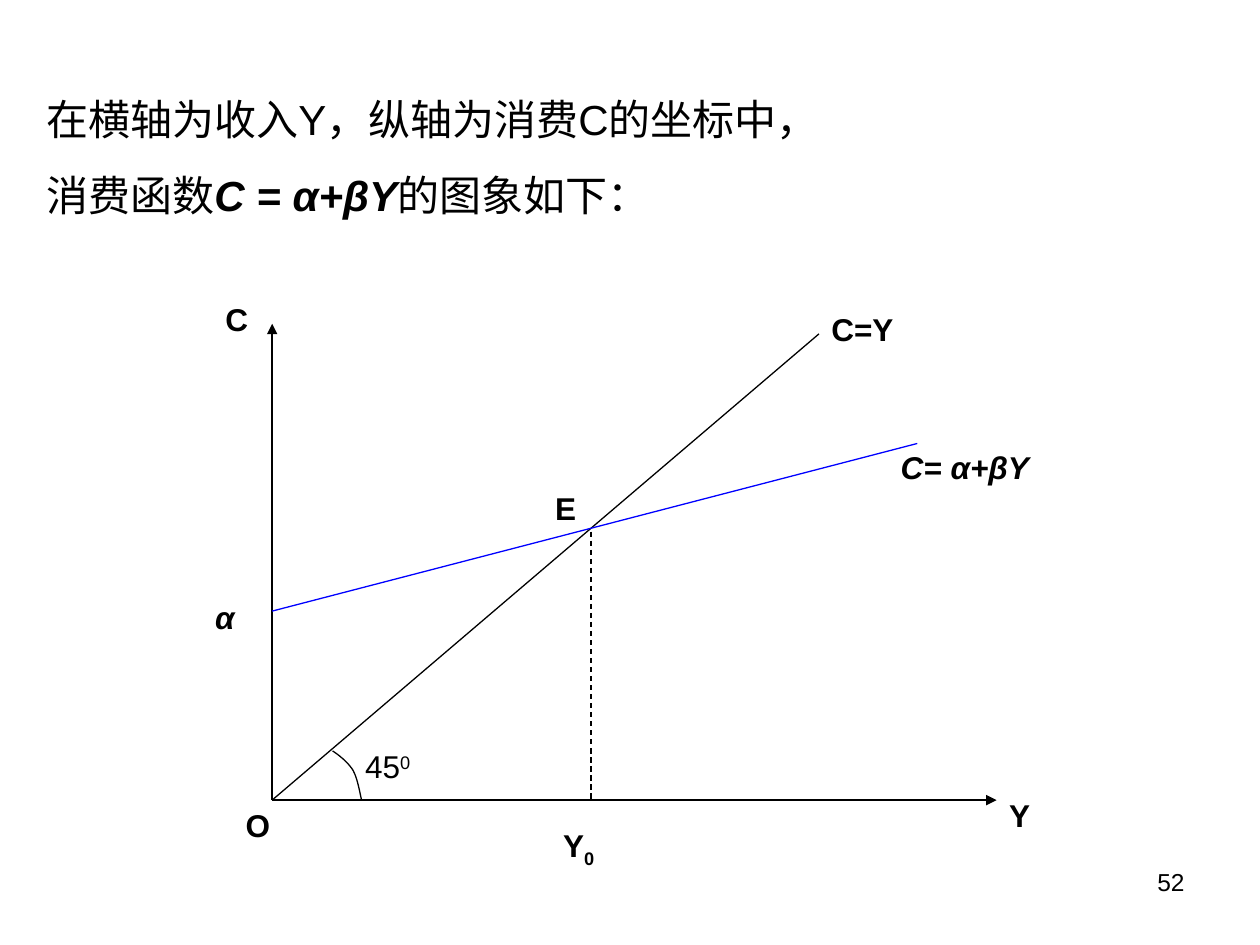
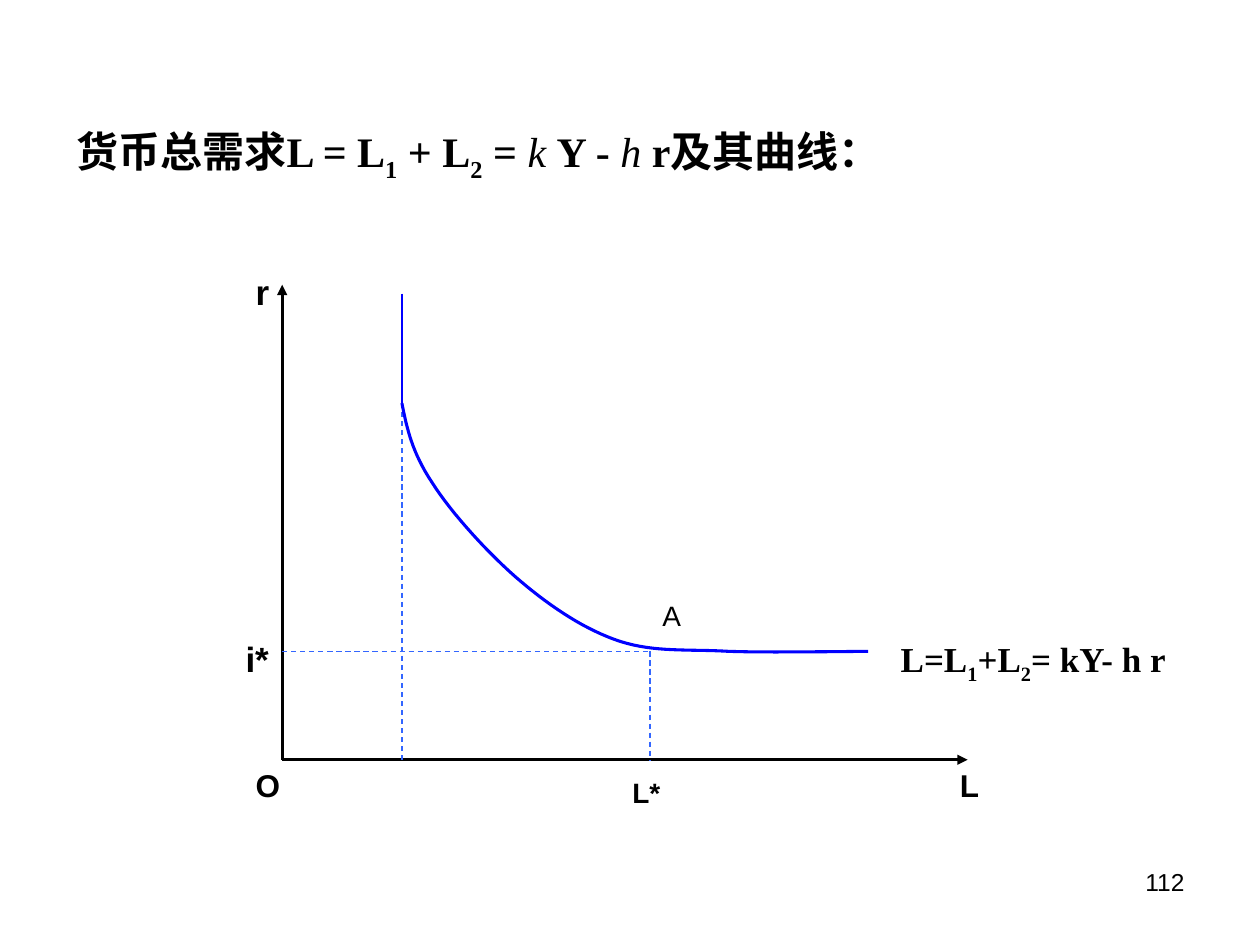
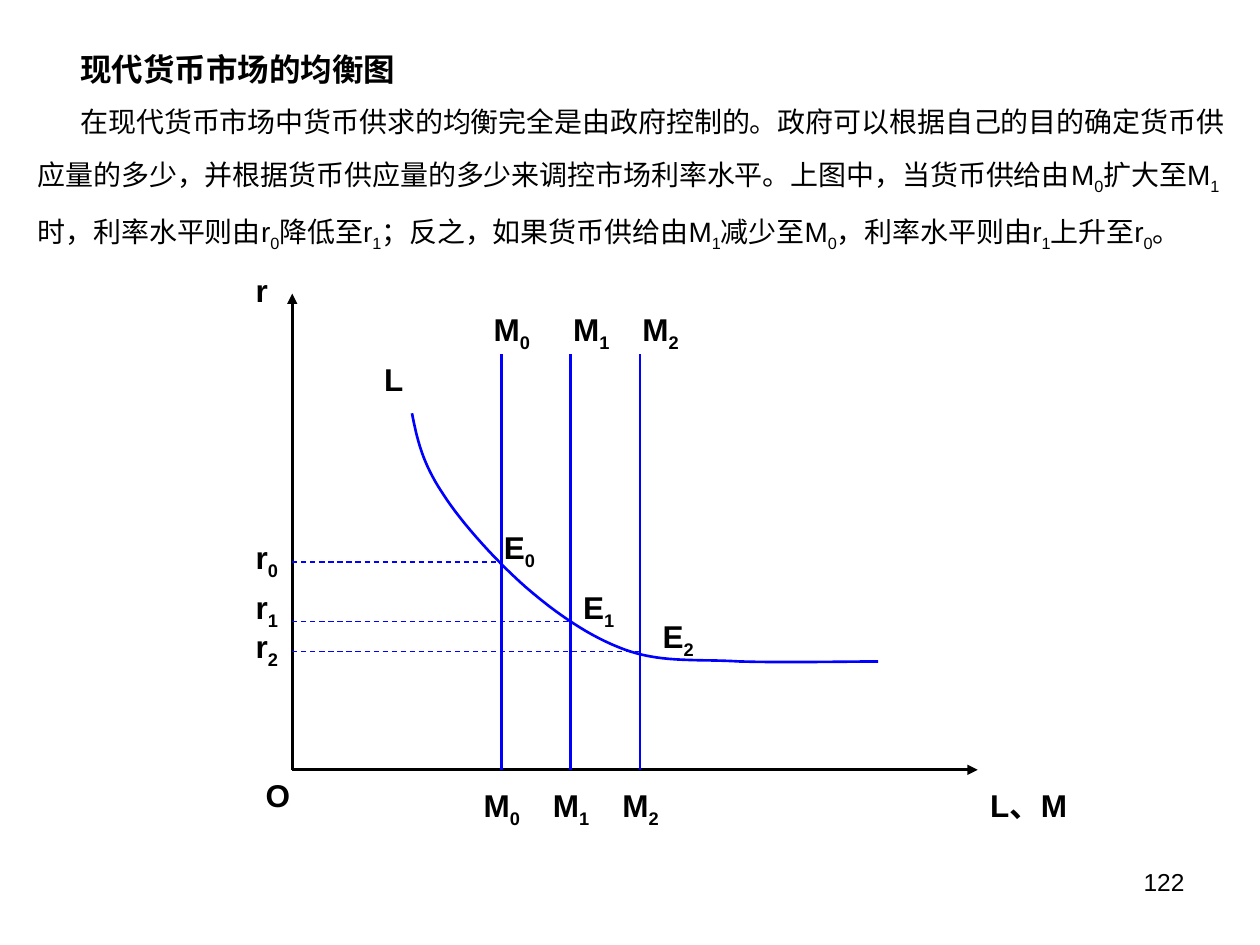
from dataclasses import dataclass

import lxml.etree
import pptx
import pptx.dml.color
import pptx.enum.dml
import pptx.enum.shapes
import pptx.enum.text
import pptx.oxml.ns
import pptx.util

Inches = pptx.util.Inches
Pt = pptx.util.Pt
ALIGN = pptx.enum.text.PP_ALIGN


@dataclass(frozen=True)
class Theme:
    black: str = "000000"
    curve: str = "0000FF"
    guide: str = "3366FF"
    sans: str = "Arial"
    serif: str = "Times New Roman"
    title: int = 24
    large: int = 20
    label: int = 18
    body: int = 16
    page: int = 14
    thin: float = 0.75
    medium: float = 1.5
    thick: float = 1.75


@dataclass(frozen=True)
class Box:
    left: float
    top: float
    width: float
    height: float


@dataclass(frozen=True)
class Segment:
    """Text of one style; "_" lowers and "^" raises the next character."""
    text: str
    size: int
    bold: bool = False
    italic: bool = False
    font: str = Theme.sans


THEME = Theme()
TITLE_INSET = (0.1, 0.05, 0.1, 0.05)
PAGE_BOX = Box(7.17, 6.83, 2.33, 0.52)

# Bezier paths, as (right, up) from the origin of a graph
ANGLE_ARC = [(0.48, 0.39), (0.54, 0.35), (0.6, 0.3), (0.64, 0.24),
             (0.68, 0.17), (0.7, 0.04), (0.71, 0)]
MONEY_DEMAND = [(0.95, 2.83), (0.99, 2.63), (1.03, 2.44), (1.19, 2.2),
                (1.34, 1.96), (1.65, 1.62), (1.9, 1.41),
                (2.15, 1.2), (2.41, 1.03), (2.68, 0.94),
                (2.96, 0.85), (3.22, 0.88), (3.55, 0.86),
                (3.88, 0.85), (4.48, 0.86), (4.65, 0.86)]


# Text

def split_baselines(text):
    """Yield (piece, baseline) pairs from marked text."""
    mark, shift = ("^", 30000) if "^" in text else ("_", -25000)
    first, *rest = text.split(mark)
    yield first, 0
    for part in rest:
        yield part[0], shift
        yield part[1:], 0


def add_segment(paragraph, segment):
    for piece, baseline in split_baselines(segment.text):
        if not piece:
            continue
        run = paragraph.add_run()
        run.text = piece
        run.font.name = segment.font
        run.font.size = Pt(segment.size)
        run.font.bold = segment.bold
        run.font.italic = segment.italic
        run.font.color.rgb = pptx.dml.color.RGBColor.from_string(THEME.black)
        if baseline:
            run._r.get_or_add_rPr().set("baseline", str(baseline))


def add_text(slide, box, paragraphs, align=ALIGN.LEFT, middle=False,
             spacing=None, indent=0, inset=TITLE_INSET):
    shape = slide.shapes.add_textbox(Inches(box.left), Inches(box.top),
                                     Inches(box.width), Inches(box.height))
    frame = shape.text_frame
    frame.word_wrap = True
    frame.margin_left, frame.margin_top, frame.margin_right, frame.margin_bottom = map(Inches, inset)
    if middle:
        frame.vertical_anchor = pptx.enum.text.MSO_ANCHOR.MIDDLE
    for index, segments in enumerate(paragraphs):
        paragraph = frame.add_paragraph() if index else frame.paragraphs[0]
        paragraph.alignment = align
        if spacing:
            paragraph.line_spacing = spacing
        if indent:
            paragraph._p.get_or_add_pPr().set("indent", str(Inches(indent)))
        for segment in segments:
            add_segment(paragraph, segment)


def add_page_number(slide, number):
    add_text(slide, PAGE_BOX, [[Segment(str(number), THEME.page)]], ALIGN.RIGHT)


# Graphs

def style_line(line, color, width, dashed=False):
    line.color.rgb = pptx.dml.color.RGBColor.from_string(color)
    line.width = Pt(width)
    if dashed:
        line.dash_style = pptx.enum.dml.MSO_LINE.DASH


def bezier_points(path, steps=16):
    """Yield points along joined cubic curves, after the start point."""
    for first in range(0, len(path) - 1, 3):
        controls = path[first:first + 4]
        for step in range(1, steps + 1):
            t = step / steps
            weights = ((1 - t) ** 3, 3 * t * (1 - t) ** 2, 3 * t * t * (1 - t), t ** 3)
            yield tuple(sum(w * point[axis] for w, point in zip(weights, controls))
                        for axis in (0, 1))


class Graph:
    """Axes that fill a box; every point is (right, up) from the origin."""

    def __init__(self, slide, box, axis_width):
        self.slide = slide
        self.box = box
        for end in ((0, box.height), (box.width, 0)):
            self.line((0, 0), end, THEME.black, axis_width, arrow=True)

    def place(self, point):
        right, up = point
        return (Inches(self.box.left + right),
                Inches(self.box.top + self.box.height - up))

    def line(self, start, end, color, width, dashed=False, arrow=False):
        connector = self.slide.shapes.add_connector(
            pptx.enum.shapes.MSO_CONNECTOR.STRAIGHT, *self.place(start), *self.place(end))
        style_line(connector.line, color, width, dashed)
        namespace = pptx.oxml.ns.qn
        if arrow:
            lxml.etree.SubElement(connector.line._get_or_add_ln(),
                                  namespace("a:tailEnd"), type="triangle")
        lxml.etree.SubElement(connector._element.spPr, namespace("a:effectLst"))

    def curve(self, path, color, width):
        builder = self.slide.shapes.build_freeform(*self.place(path[0]))
        builder.add_line_segments([self.place(point) for point in bezier_points(path)],
                                  close=False)
        shape = builder.convert_to_shape()
        shape.shadow.inherit = False
        shape.fill.background()
        style_line(shape.line, color, width)

    def label(self, text, right, up, width=0.55, size=THEME.label, bold=True,
              italic=False, font=THEME.sans, align=ALIGN.LEFT):
        box = Box(self.box.left + right, self.box.top + self.box.height - up, width,
                  0.44 if "_" in text or size == THEME.large else 0.4)
        add_text(self.slide, box, [[Segment(text, size, bold, italic, font)]], align)


def draw_consumption_graph(slide, box):
    graph = Graph(slide, box, THEME.thin)
    crossing = (2.53, 2.13)
    # Lines and angle
    graph.line((0, 0), (4.34, 3.7), THEME.black, THEME.thin)
    graph.line(crossing, (crossing[0], 0), THEME.black, THEME.thin, dashed=True)
    graph.line((0, 1.5), (5.12, 2.83), THEME.curve, THEME.thin)
    graph.curve(ANGLE_ARC, THEME.black, THEME.thin)
    # Labels
    graph.label("C", -0.47, 4.02)
    graph.label("Y", box.width, 0.08, 0.79)
    graph.label("O", -0.31, 0)
    graph.label("C=Y", 4.34, 3.94, 1.34)
    graph.label("C= α+βY", 4.89, 2.84, 1.58, italic=True)
    graph.label("α", -0.55, 1.65, 0.71, italic=True)
    graph.label("E", 1.74, 2.52, 1.18, align=ALIGN.CENTER)
    graph.label("Y_0", 2.21, -0.16, 0.71)
    graph.label("45^0", 0.64, 0.47, 0.94, bold=False)


def draw_money_demand_graph(slide, box):
    graph = Graph(slide, box, THEME.medium)
    kink = MONEY_DEMAND[0]
    trap = (2.92, 0.86)
    # Guides
    for start, end in (((0, trap[1]), trap), (trap, (trap[0], 0)), (kink, (kink[0], 0))):
        graph.line(start, end, THEME.guide, THEME.thin, dashed=True)
    # Demand curve
    graph.curve(MONEY_DEMAND, THEME.curve, THEME.thick)
    graph.line((kink[0], 3.7), kink, THEME.curve, THEME.medium)
    # Labels
    graph.label("r", -0.31, 3.93, size=THEME.large)
    graph.label("O", -0.31, 0)
    graph.label("L", 5.28, 0)
    graph.label("i*", -0.39, 1.02, size=THEME.large)
    graph.label("L*", 2.68, -0.08, size=THEME.body)
    graph.label("A", trap[0], 1.33, 0.47, size=THEME.body, bold=False)
    graph.label("L=L_1+L_2= kY- h r", 4.81, 1.02, 2.6, THEME.large, font=THEME.serif)


def draw_money_market_graph(slide, box):
    graph = Graph(slide, box, THEME.thick)
    graph.curve(MONEY_DEMAND, THEME.curve, THEME.medium)
    # Each supply: rate, tops of its rate label, shift of its upper label, place of E
    supplies = [(1.65, 1.89, -0.16, (1.58, 1.97)),
                (1.18, 1.49, -0.08, (2.21, 1.49)),
                (0.94, 1.18, -0.08, (2.84, 1.26))]
    for index, (rate, rate_label, shift, equilibrium) in enumerate(supplies):
        supply = 1.66 + 0.55 * index
        graph.line((supply, 0), (supply, 3.3), THEME.curve, THEME.medium)
        graph.line((0, rate), (supply, rate), THEME.curve, THEME.thin, dashed=True)
        graph.label(f"M_{index}", supply + shift, 3.7)
        graph.label(f"M_{index}", supply - 0.24, -0.08)
        graph.label(f"r_{index}", -0.39, rate_label)
        graph.label(f"E_{index}", *equilibrium)
    # Axis and curve labels
    graph.label("r", -0.39, 4.01)
    graph.label("O", -0.31, 0)
    graph.label("L、M", box.width, -0.08, 0.95)
    graph.label("L", 0.63, 3.3)


# Slides

def build_consumption_slide(slide):
    size = THEME.title
    add_text(slide, Box(0.27, 0.68, 9.53, 0.93), [
        [Segment("在横轴为收入Y，纵轴为消费C的坐标中，", size)],
        [Segment("消费函数", size), Segment("C = α+βY", size, True, True),
         Segment("的图象如下：", size)],
    ], middle=True, spacing=1.5)
    draw_consumption_graph(slide, Box(2.16, 2.57, 5.75, 3.78))
    add_page_number(slide, 52)


def build_money_demand_slide(slide):
    pieces = [("货币总需求L = L_1 + L_2 = ", False), ("k ", True), ("Y - ", False),
              ("h ", True), ("r及其曲线：", False)]
    add_text(slide, Box(0.51, 0.36, 9, 1.73), [
        [Segment(text, THEME.title, not variable, variable, THEME.serif)
         for text, variable in pieces],
    ], middle=True)
    draw_money_demand_graph(slide, Box(2.24, 2.26, 5.44, 3.77))
    add_page_number(slide, 112)


def build_money_market_slide(slide):
    body = ("在现代货币市场中货币供求的均衡完全是由政府控制的。"
            "政府可以根据自己的目的确定货币供应量的多少，"
            "并根据货币供应量的多少来调控市场利率水平。"
            "上图中，当货币供给由M_0扩大至M_1时，利率水平则由r_0降低至r_1；"
            "反之，如果货币供给由M_1减少至M_0，利率水平则由r_1上升至r_0。")
    add_text(slide, Box(0.2, 0.52, 9.69, 1.64), [
        [Segment("现代货币市场的均衡图", THEME.label, True)],
        [Segment(body, THEME.body)],
    ], middle=True, spacing=1.5, indent=0.34, inset=(0.1, 0.05, 0.1, 0.47))
    draw_money_market_graph(slide, Box(2.32, 2.33, 5.44, 3.78))
    add_page_number(slide, 122)


def main():
    presentation = pptx.Presentation()
    presentation.slide_width = Inches(10)
    presentation.slide_height = Inches(7.5)
    blank = presentation.slide_layouts[6]
    for build in (build_consumption_slide, build_money_demand_slide, build_money_market_slide):
        build(presentation.slides.add_slide(blank))
    presentation.save("out.pptx")


if __name__ == "__main__":
    main()
